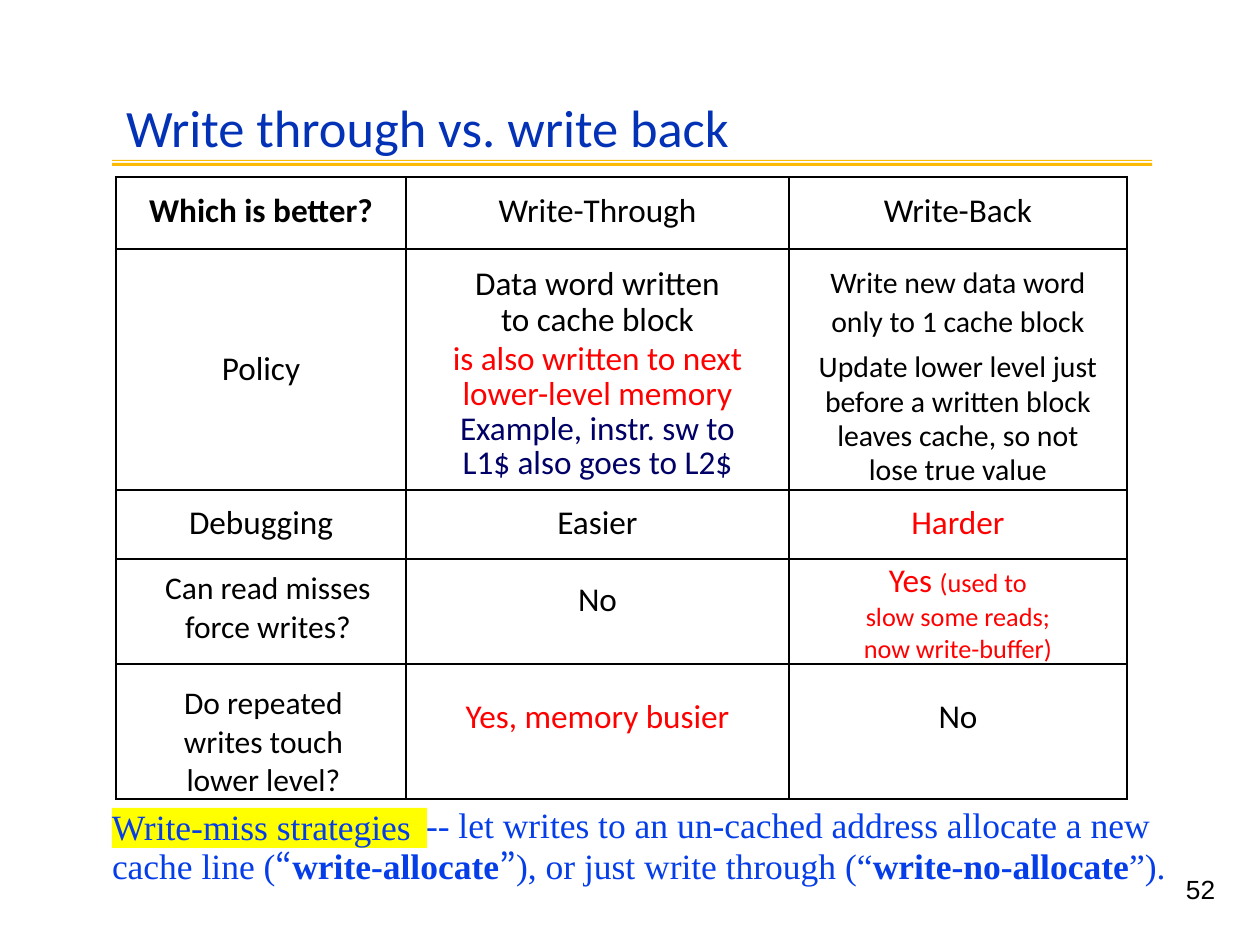
from lxml.etree import SubElement
from pptx import Presentation
from pptx.dml.color import RGBColor
from pptx.enum.shapes import MSO_SHAPE
from pptx.enum.text import MSO_ANCHOR, PP_ALIGN
from pptx.oxml.ns import qn
from pptx.util import Emu, Pt

PX = 914400 / 126
BLACK = RGBColor(0, 0, 0)
RED = RGBColor(0xFF, 0, 0)
NAVY = RGBColor(0, 0, 0x66)
TITLE_BLUE = RGBColor(0x03, 0x32, 0xB7)
NOTE_BLUE = RGBColor(0x05, 0x3D, 0xE8)
GOLD = RGBColor(0xFB, 0xBA, 0x03)
YELLOW = RGBColor(0xFF, 0xFF, 0)

TITLE = {"name": "Calibri", "size": Pt(30), "color": TITLE_BLUE}
BODY = {"name": "Calibri", "size": Pt(19), "color": BLACK, "bold": False}
NOTE = {"name": "Times New Roman", "size": Pt(20.3), "color": NOTE_BLUE}
NUMBER = {"name": "Arial", "size": Pt(15), "color": BLACK}
ALERT = {"color": RED}
BOLD = {"bold": True}
QUOTE = {"name": "Noto Sans CJK JP"}
SMALL = {"size": Pt(18)}
SMALLER = {"size": Pt(17)}

COLUMNS = [290, 383, 338]
ROWS = [72, 241, 69, 105, 135]


def px(length):
    return Emu(round(length * PX))


def para(*spans, left=0, right=0, **layout):
    """Describe a paragraph; a span is a text or a (text, format) pair."""
    pairs = [(span, {}) if isinstance(span, str) else span for span in spans]
    return pairs, left, right, layout


def cell(top, *paras):
    """Describe a table cell; a top of None centres the text vertically."""
    return top, paras


CELLS = [
    [
        cell(14, para(("Which is better?", BOLD))),
        cell(14, para("Write-Through")),
        cell(14, para("Write-Back")),
    ],
    [
        cell(None, para("Policy")),
        cell(
            18,
            para("Data word written to cache block",
                 left=59, right=59, line_spacing=Pt(21.1)),
            para(("is also written to next lower-level memory ", ALERT),
                 ("Example, instr. sw to L1$ also goes to L2$", {"color": NAVY}),
                 left=32, right=32, line_spacing=0.86, space_before=Pt(1.4)),
        ),
        cell(
            14,
            para(("Write new data word only to 1 cache block", SMALLER),
                 left=24, right=24, line_spacing=Pt(22.1)),
            para(("Update lower level just before a written block "
                  "leaves cache, so not lose true value", SMALLER),
                 left=27, right=27, line_spacing=0.94, space_before=Pt(5.8)),
        ),
    ],
    [
        cell(13, para("Debugging")),
        cell(13, para("Easier")),
        cell(13, para(("Harder", ALERT))),
    ],
    [
        cell(11, para(("Can read misses", SMALL), left=14),
             para(("force writes?", SMALL), left=14)),
        cell(21, para("No")),
        cell(2, para(("Yes ", ALERT),
                     ("(used to\nslow some reads;\nnow write-buffer)",
                      {"color": RED, "size": Pt(15)}))),
    ],
    [
        cell(21, para(("Do repeated writes touch lower level?", SMALL),
                      left=47, right=42)),
        cell(33, para(("Yes, memory busier", ALERT))),
        cell(33, para("No")),
    ],
]


class SlideBuilder:
    def __init__(self, slide, style):
        self.slide = slide
        self.style = style

    def fill_frame(self, frame, paras, style, align=PP_ALIGN.LEFT):
        for index, (spans, left, right, layout) in enumerate(paras):
            paragraph = frame.paragraphs[0] if index == 0 else frame.add_paragraph()
            paragraph.alignment = align
            for name, value in layout.items():
                setattr(paragraph, name, value)
            properties = paragraph._p.get_or_add_pPr()
            properties.set("marL", str(px(left)))
            properties.set("marR", str(px(right)))
            for text, changes in spans:
                for number, line in enumerate(text.split("\n")):
                    if number:
                        paragraph.add_line_break()
                    self.add_span(paragraph, line, {**style, **changes})

    def add_span(self, paragraph, text, style):
        span = paragraph.add_run()
        span.text = text
        for name, value in style.items():
            if name == "color":
                span.font.color.rgb = value
            else:
                setattr(span.font, name, value)

    def text(self, left, top, width, height, content, style, fill=None):
        area = [px(length) for length in (left, top, width, height)]
        if fill is None:
            box = self.slide.shapes.add_textbox(*area)
        else:
            box = self.slide.shapes.add_shape(MSO_SHAPE.RECTANGLE, *area)
            self.paint(box, fill)
        frame = box.text_frame
        frame.word_wrap = True
        frame.vertical_anchor = MSO_ANCHOR.TOP
        for side in ("left", "top", "right", "bottom"):
            setattr(frame, f"margin_{side}", 0)
        self.fill_frame(frame, [content], style)

    def paint(self, shape, color):
        shape.shadow.inherit = False
        shape.fill.solid()
        shape.fill.fore_color.rgb = color
        shape.line.fill.background()

    def bars(self, left, right, spans, color):
        """Draw horizontal bars, given as (top, bottom) pairs, as one outline."""
        builder = self.slide.shapes.build_freeform(left, spans[0][0], scale=PX)
        for index, (top, bottom) in enumerate(spans):
            if index:
                builder.move_to(left, top)
            builder.add_line_segments(
                [(right, top), (right, bottom), (left, bottom)], close=True)
        self.paint(builder.convert_to_shape(), color)

    def table(self, left, top, columns, rows, cells):
        frame = self.slide.shapes.add_table(
            len(rows), len(columns), px(left), px(top), px(sum(columns)), px(sum(rows)))
        table = frame.table
        table.first_row = table.horz_banding = False
        for column, width in zip(table.columns, columns):
            column.width = px(width)
        for row, height, contents in zip(table.rows, rows, cells):
            row.height = px(height)
            for target, (inset, paras) in zip(row.cells, contents):
                target.margin_left = target.margin_right = target.margin_bottom = 0
                target.margin_top = px(inset or 0)
                target.vertical_anchor = (
                    MSO_ANCHOR.MIDDLE if inset is None else MSO_ANCHOR.TOP)
                self.border(target)
                target.fill.background()
                self.fill_frame(target.text_frame, paras, self.style, PP_ALIGN.CENTER)

    def border(self, target):
        properties = target._tc.get_or_add_tcPr()
        for side in "LRTB":
            line = SubElement(properties, qn(f"a:ln{side}"), w=str(Pt(1.5)))
            fill = SubElement(line, qn("a:solidFill"))
            SubElement(fill, qn("a:srgbClr"), val=str(BLACK))


def main():
    deck = Presentation()
    deck.slide_width, deck.slide_height = px(1260), px(945)
    page = SlideBuilder(deck.slides.add_slide(deck.slide_layouts[6]), BODY)

    page.bars(112, 1152, [(163, 166), (160, 161)], GOLD)
    page.text(126, 95, 715, 65, para("Write through vs. write back"), TITLE)
    page.table(116, 177, COLUMNS, ROWS, CELLS)

    page.text(112, 808, 315, 40,
              para("Write-miss strategies", line_spacing=Pt(22.6)), NOTE, YELLOW)
    page.text(426, 805, 760, 44,
              para("-- let writes to an un-cached address allocate a new",
                   line_spacing=Pt(23.3)), NOTE)
    page.text(112, 846, 1100, 44,
              para("cache line (", ("“", QUOTE), ("write-allocate", BOLD), ("”", QUOTE),
                   "), or just write through (“", ("write-no-allocate", BOLD), "”).",
                   line_spacing=Pt(23.3)), NOTE)
    page.text(1167, 874, 56, 60, para("52", left=19, line_spacing=Pt(17.5)), NUMBER)
    deck.save("out.pptx")


if __name__ == "__main__":
    main()
